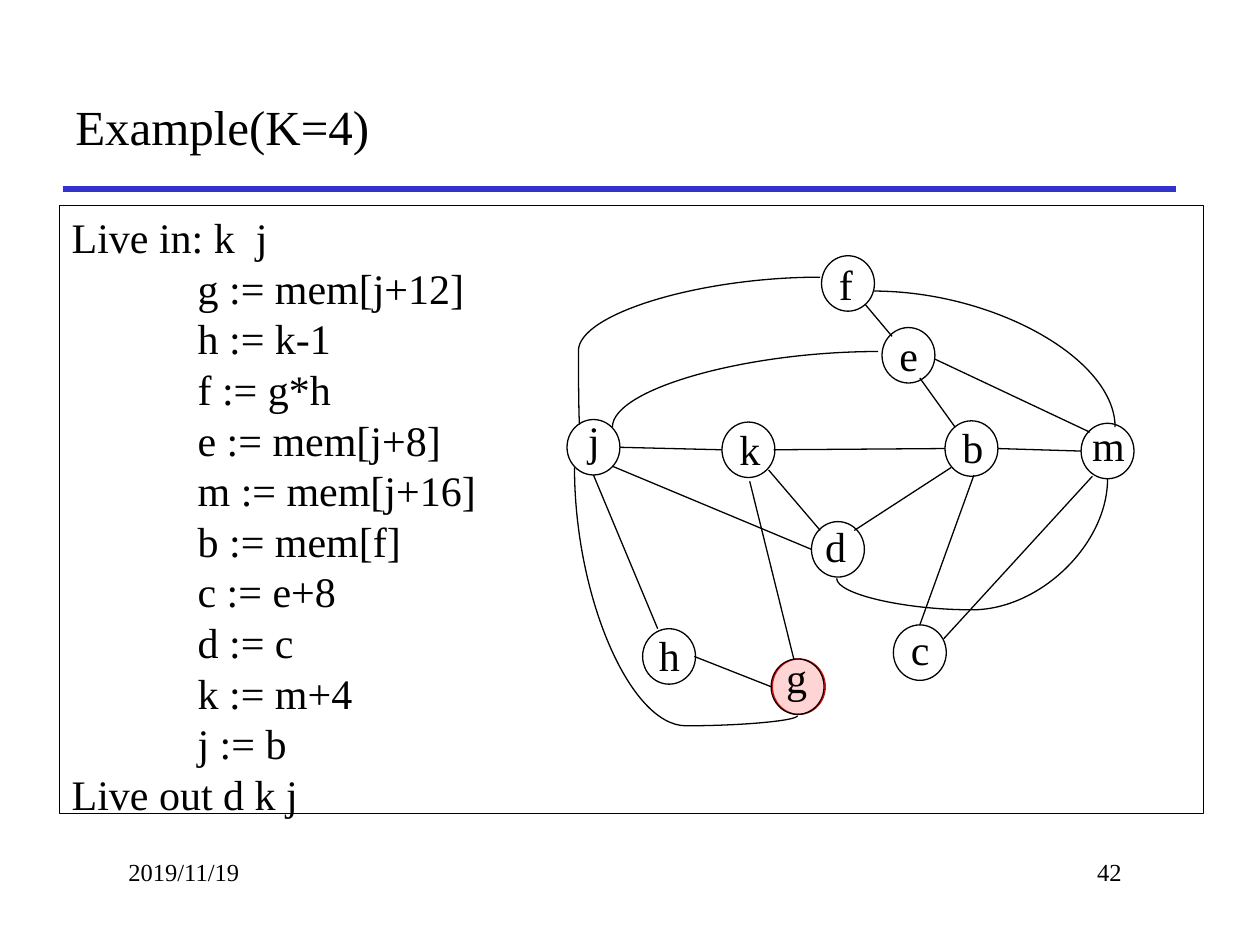
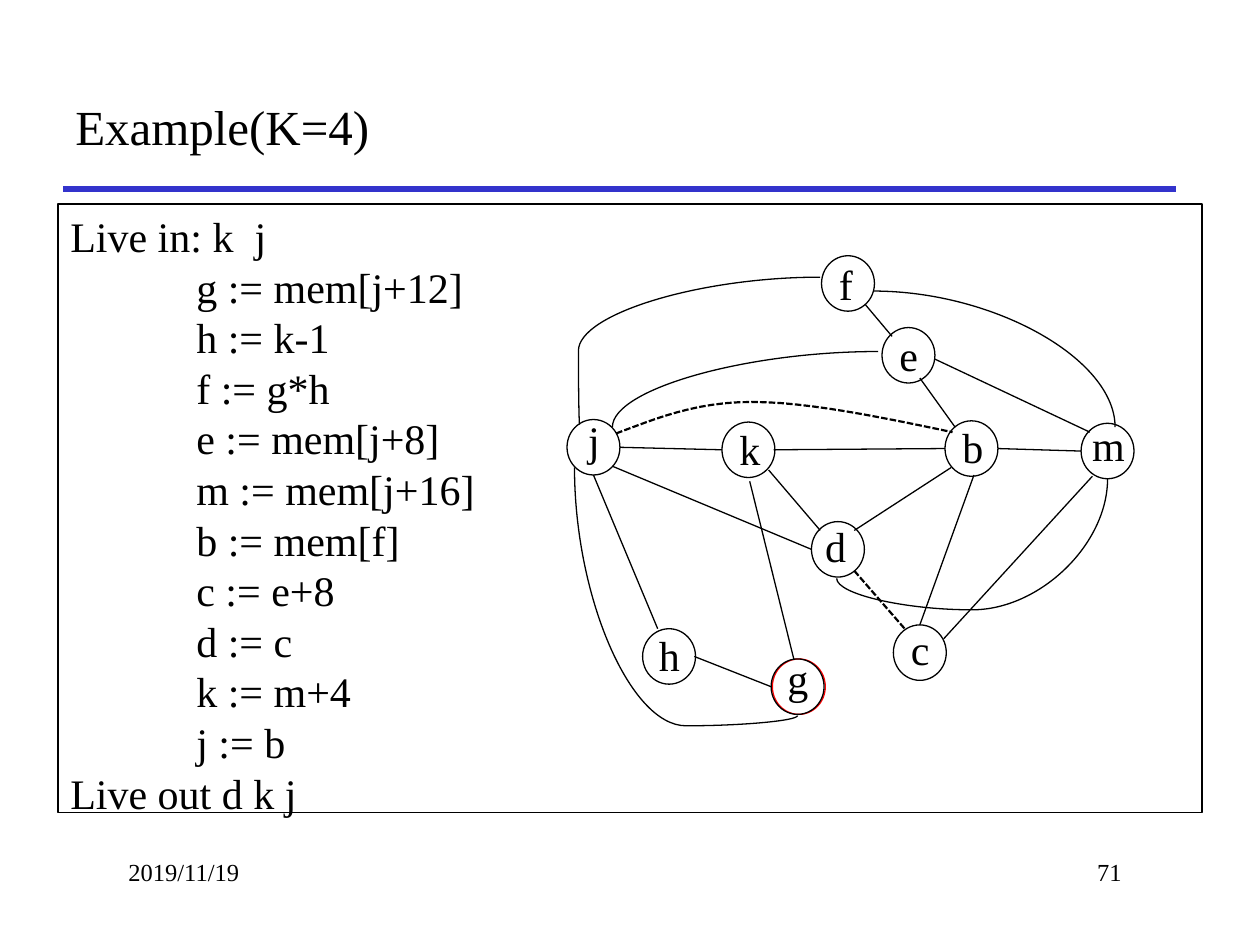
from typing import NamedTuple

from lxml.etree import SubElement
from pptx import Presentation
from pptx.dml.color import RGBColor
from pptx.enum.dml import MSO_LINE
from pptx.enum.shapes import MSO_CONNECTOR, MSO_SHAPE
from pptx.enum.text import MSO_ANCHOR, PP_ALIGN
from pptx.oxml.ns import qn
from pptx.util import Pt

PX = 9144
FONT = "Times New Roman"
BLACK = RGBColor(0, 0, 0)
BLUE = RGBColor(0x33, 0x33, 0xCC)
RED = RGBColor(0xFF, 0, 0)
WIDE, TALL = 42, 44
CODE = """Live in: k  j
\tg := mem[j+12]
\th := k-1
\tf := g*h
\te := mem[j+8]
\tm := mem[j+16]
\tb := mem[f]
\tc := e+8
\td := c
\tk := m+4
\tj := b
Live out d k j"""


class Box(NamedTuple):
    x: int
    y: int
    w: int
    h: int

    def emu(self) -> list[int]:
        return [side * PX for side in self]


class Node(NamedTuple):
    name: str
    x: int
    y: int
    text_x: int
    text_y: int
    text_w: int


class Edge(NamedTuple):
    x1: int
    y1: int
    x2: int
    y2: int


class Curve(NamedTuple):
    box: Box
    kind: str
    turn: int = 0
    flip: str = ""
    bend: int = 0


class Page(NamedTuple):
    number: str
    body: Box
    shift: int
    tint: bool
    merge: bool


NODES = [
    Node("f", 652, 203, 656, 200, 29),
    Node("e", 700, 260, 704, 257, 35),
    Node("b", 750, 334, 754, 330, 38),
    Node("m", 858, 336, 857, 328, 47),
    Node("k", 573, 335, 577, 331, 37),
    Node("g", 612, 523, 614, 512, 37),
    Node("h", 510, 499, 513, 495, 38),
    Node("j", 450, 333, 457, 324, 29),
    Node("c", 709, 496, 713, 490, 35),
    Node("d", 644, 414, 645, 408, 38),
]
EDGES = [
    Edge(687, 242, 708, 267),
    Edge(730, 300, 758, 339),
    Edge(742, 285, 865, 343),
    Edge(792, 356, 858, 358),
    Edge(492, 355, 573, 357),
    Edge(614, 357, 750, 356),
    Edge(610, 373, 651, 421),
    Edge(595, 382, 630, 523),
    Edge(471, 377, 522, 499),
    Edge(678, 421, 755, 371),
    Edge(773, 377, 730, 496),
    Edge(749, 507, 867, 378),
    Edge(486, 370, 644, 436),
    Edge(551, 521, 612, 545),
]
CURVES = [
    Curve(Box(693, 231, 192, 108), "curvedConnector2"),
    Curve(Box(460, 220, 191, 117), "curvedConnector3", 180, "flipV", 100500),
    Curve(Box(486, 279, 211, 60), "curvedConnector2", 180, "flipV"),
    Curve(Box(446, 381, 197, 177), "curvedConnector3", 270, "flipH", 104100),
    Curve(Box(732, 312, 79, 215), "curvedConnector3", 90, "", 131600),
]
MERGE = Edge(678, 453, 718, 499)
START = (489, 344)
ARCS = [
    ((521, 332), (552, 319), (597, 319)),
    ((641, 319), (699, 331), (756, 343)),
]
STEPS = 12
PAGES = [
    Page("42", Box(47, 163, 908, 483), 0, True, False),
    Page("71", Box(46, 162, 908, 483), 1, False, True),
]


def write(shape, text: str, size: int, wrap: bool = True,
          align=PP_ALIGN.LEFT, anchor=MSO_ANCHOR.TOP) -> None:
    frame = shape.text_frame
    frame.text = text
    frame.word_wrap = wrap
    frame.vertical_anchor = anchor
    for para in frame.paragraphs:
        para.alignment = align
        para.font.name = FONT
        para.font.size = Pt(size)
        para.font.color.rgb = BLACK


def label(shapes, box: Box, text: str, size: int, **style) -> None:
    write(shapes.add_textbox(*box.emu()), text, size, **style)


def outline(shapes, kind, box: Box, color: RGBColor = BLACK):
    shape = shapes.add_shape(kind, *box.emu())
    shape.shadow.inherit = False
    shape.fill.background()
    shape.line.color.rgb = color
    shape.line.width = Pt(0.75)
    return shape


def join(shapes, edge: Edge, kind=MSO_CONNECTOR.STRAIGHT,
         color: RGBColor = BLACK, width: float = 0.75):
    line = shapes.add_connector(kind, *[end * PX for end in edge])
    line.line.color.rgb = color
    line.line.width = Pt(width)
    SubElement(line._element.spPr, qn("a:effectLst"))
    return line


def bend(shapes, curve: Curve) -> None:
    x, y, w, h = curve.box
    line = join(shapes, Edge(x, y, x + w, y + h), MSO_CONNECTOR.CURVE)
    props = line._element.spPr
    frame = props.find(qn("a:xfrm"))
    if curve.turn:
        frame.set("rot", str(curve.turn * 60000))
    if curve.flip:
        frame.set(curve.flip, "1")
    shape = props.find(qn("a:prstGeom"))
    shape.set("prst", curve.kind)
    if curve.bend:
        guide = SubElement(shape.find(qn("a:avLst")), qn("a:gd"))
        guide.set("name", "adj1")
        guide.set("fmla", f"val {curve.bend}")


def dash(line) -> None:
    line.color.rgb = BLACK
    line.width = Pt(1.25)
    line.dash_style = MSO_LINE.SQUARE_DOT


def trace() -> list[tuple[int, int]]:
    points, start = [], START
    for one, two, end in ARCS:
        for step in range(1, STEPS + 1):
            t = step / STEPS
            u = 1 - t
            points.append(tuple(
                round(PX * (u**3 * a + 3 * u * u * t * b + 3 * u * t * t * c + t**3 * d))
                for a, b, c, d in zip(start, one, two, end)))
        start = end
    return points


def draw_merge(shapes) -> None:
    dash(join(shapes, MERGE).line)
    pen = shapes.build_freeform(START[0] * PX, START[1] * PX)
    pen.add_line_segments(trace(), close=False)
    arc = pen.convert_to_shape()
    arc.shadow.inherit = False
    arc.fill.background()
    dash(arc.line)


def draw_graph(shapes, page: Page) -> None:
    spot = outline(shapes, MSO_SHAPE.OVAL, Box(613, 523, WIDE, TALL), RED)
    if page.tint:
        spot.fill.solid()
        spot.fill.fore_color.rgb = RED
        color = spot._element.spPr.find(qn("a:solidFill"))[0]
        SubElement(color, qn("a:alpha")).set("val", "17000")
    group = shapes.add_group_shape().shapes
    for node in NODES:
        outline(group, MSO_SHAPE.OVAL, Box(node.x, node.y, WIDE, TALL))
        shift = page.shift if node.name == "g" else 0
        place = Box(node.text_x + shift, node.text_y + shift, node.text_w, 50)
        label(group, place, node.name, 24, wrap=False)
    for edge in EDGES:
        join(group, edge)
    for curve in CURVES:
        bend(group, curve)
    if page.merge:
        draw_merge(shapes)


def draw_code(shapes, box: Box) -> None:
    body = outline(shapes, MSO_SHAPE.RECTANGLE, box)
    write(body, CODE, 24)
    for para in body.text_frame.paragraphs:
        para.line_spacing = Pt(28.9)
        para._p.get_or_add_pPr().set("defTabSz", str(100 * PX))


def draw_page(deck, page: Page) -> None:
    shapes = deck.slides.add_slide(deck.slide_layouts[6]).shapes
    join(shapes, Edge(50, 150, 933, 150), color=BLUE, width=3)
    draw_code(shapes, page.body)
    label(shapes, Box(92, 675, 208, 50), "2019/11/19", 14)
    label(shapes, Box(692, 675, 208, 50), page.number, 14, align=PP_ALIGN.RIGHT)
    label(shapes, Box(50, 50, 883, 100), "Example(K=4)", 28, anchor=MSO_ANCHOR.MIDDLE)
    draw_graph(shapes, page)


def main() -> None:
    deck = Presentation()
    deck.slide_width = 1000 * PX
    deck.slide_height = 750 * PX
    for page in PAGES:
        draw_page(deck, page)
    deck.save("out.pptx")


if __name__ == "__main__":
    main()
